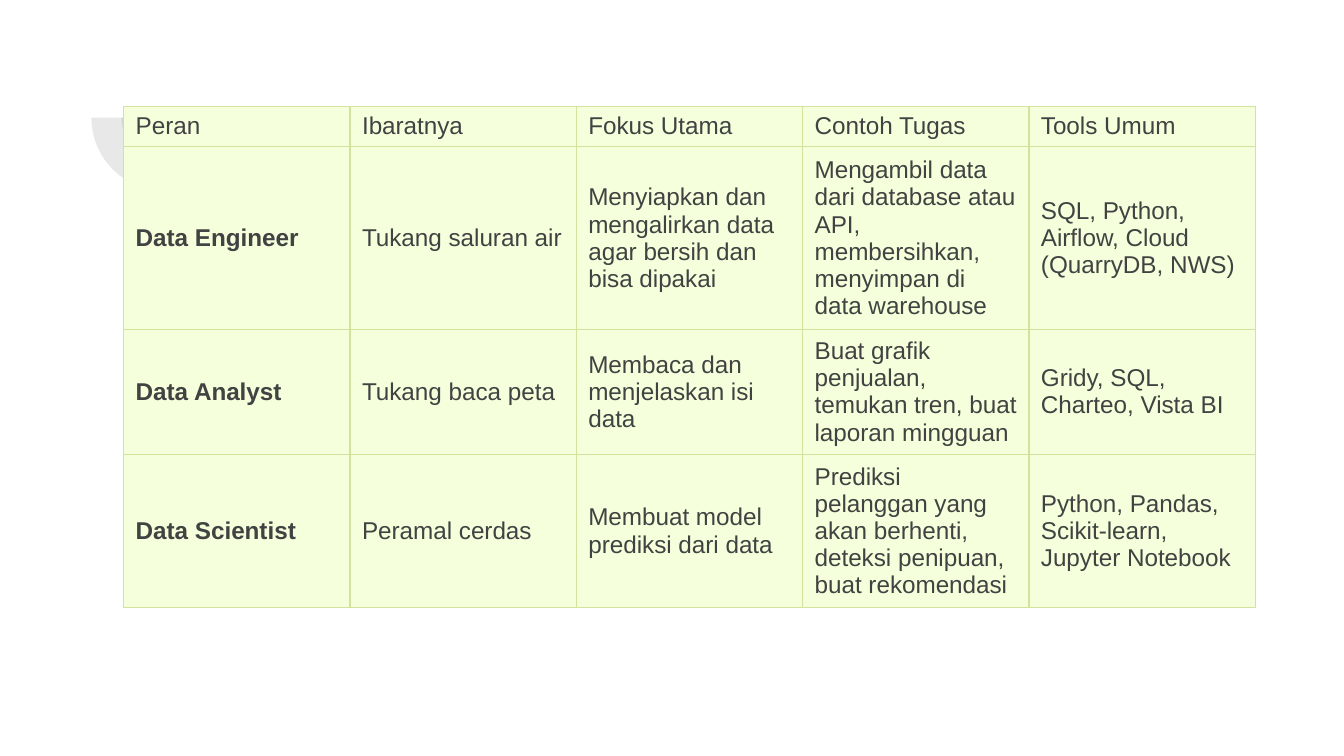
import pptx
import pptx.util
import pptx.dml.color
import pptx.enum.shapes
import pptx.enum.text
import pptx.oxml
import pptx.oxml.ns

Inches = pptx.util.Inches
RGB = pptx.dml.color.RGBColor
GREY = RGB(0x42, 0x42, 0x42)
LIME = RGB(0xF5, 0xFF, 0xDB)
EDGE = RGB(0xD3, 0xE3, 0x9E)
NS = pptx.oxml.ns.nsdecls("a")

ROLES = [
    ["Peran", "Ibaratnya", "Fokus Utama", "Contoh Tugas", "Tools Umum"],
    ["Data Engineer", "Tukang saluran air",
     "Menyiapkan dan mengalirkan data agar bersih dan bisa dipakai",
     "Mengambil data dari database atau API, membersihkan, menyimpan di data warehouse",
     "SQL, Python, Airflow, Cloud (QuarryDB, NWS)"],
    ["Data Analyst", "Tukang baca peta",
     "Membaca dan menjelaskan isi data",
     "Buat grafik penjualan, temukan tren, buat laporan mingguan",
     "Gridy, SQL, Charteo, Vista BI"],
    ["Data Scientist", "Peramal cerdas",
     "Membuat model prediksi dari data",
     "Prediksi pelanggan yang akan berhenti, deteksi penipuan, buat rekomendasi",
     "Python, Pandas, Scikit-learn, Jupyter Notebook"],
]
HEIGHTS = [0.3, 1.36, 0.93, 1.14]


def add_pies(slide, left, top, size):
    """Two concentric, see-through quarter pies."""
    for side in (size * 0.59, size):
        gap = (size - side) / 2
        pie = slide.shapes.add_shape(
            pptx.enum.shapes.MSO_SHAPE.PIE, Inches(left + gap),
            Inches(top + gap), Inches(side), Inches(side))
        pie.rotation = 270
        pie.adjustments[0] = 107.93
        pie.adjustments[1] = 162
        pie.shadow.inherit = False
        pie.line.fill.background()
        pie.fill.solid()
        pie.fill.fore_color.rgb = GREY
        tint = pie.fill._xPr.find(".//" + pptx.oxml.ns.qn("a:srgbClr"))
        tint.append(pptx.oxml.parse_xml(f'<a:alpha {NS} val="12000"/>'))


def style_cell(cell, text, bold):
    cell.fill.solid()
    cell.fill.fore_color.rgb = LIME
    cell.vertical_anchor = pptx.enum.text.MSO_ANCHOR.MIDDLE
    cell.margin_left = cell.margin_right = Inches(0.09)
    cell.margin_top = cell.margin_bottom = Inches(0.05)
    cell.text_frame.text = text
    font = cell.text_frame.paragraphs[0].runs[0].font
    font.name = "Arial"
    font.size = pptx.util.Pt(13)
    font.bold = bold
    font.color.rgb = GREY
    # Borders come before the fill in the cell properties
    props = cell._tc.get_or_add_tcPr()
    for spot, side in enumerate("LRTB"):
        props.insert(spot, pptx.oxml.parse_xml(
            f'<a:ln{side} {NS} w="9525"><a:solidFill>'
            f'<a:srgbClr val="{EDGE}"/></a:solidFill></a:ln{side}>'))


def add_roles(slide, left, top, width):
    """Table comparing the data roles."""
    count = len(ROLES[0])
    frame = slide.shapes.add_table(
        len(ROLES), count, Inches(left), Inches(top),
        Inches(width), Inches(sum(HEIGHTS)))
    table = frame.table
    for col in table.columns:
        col.width = Inches(width / count)
    for r, (texts, height) in enumerate(zip(ROLES, HEIGHTS)):
        table.rows[r].height = Inches(height)
        for c, text in enumerate(texts):
            style_cell(table.cell(r, c), text, bold=r > 0 and c == 0)


def main():
    deck = pptx.Presentation()
    # Widescreen, 16 to 9
    deck.slide_width = Inches(10)
    deck.slide_height = deck.slide_width * 9 // 16
    slide = deck.slides.add_slide(deck.slide_layouts[6])
    add_pies(slide, 0.68, 0.33, 1.09)
    add_roles(slide, 0.92, 0.79, 8.42)
    deck.save("out.pptx")


if __name__ == "__main__":
    main()
